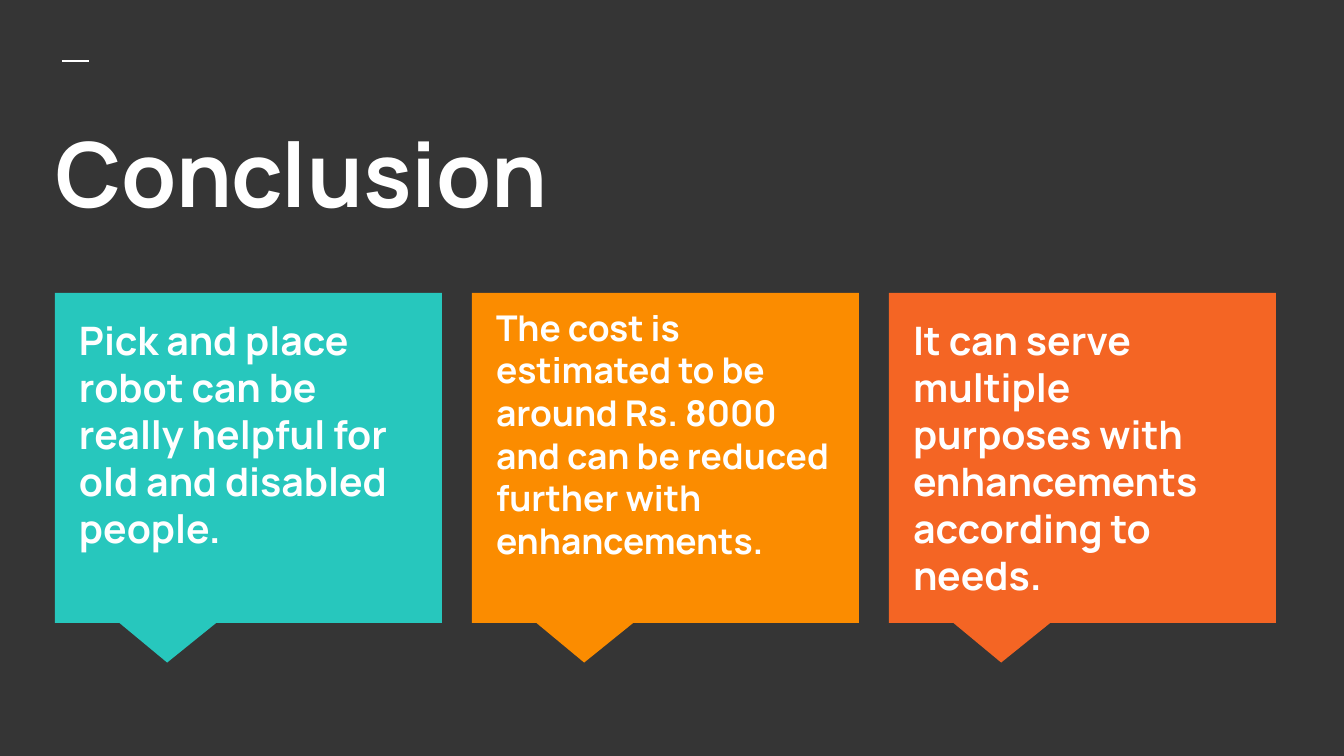
import dataclasses

import pptx
import pptx.dml.color
import pptx.enum.shapes
import pptx.enum.text
import pptx.oxml
import pptx.oxml.ns
import pptx.util

RGBColor = pptx.dml.color.RGBColor
CHARCOAL = RGBColor(0x35, 0x35, 0x35)
WHITE = RGBColor(0xFF, 0xFF, 0xFF)
TEAL = RGBColor(0x27, 0xC7, 0xBD)
AMBER = RGBColor(0xFB, 0x8C, 0x00)
ORANGE = RGBColor(0xF4, 0x65, 0x24)

EMU_PER_PIXEL = 914400 / 134.4
FONT = "Manrope"
INSET = 13

CARD_LEFT, CARD_TOP, CARD_PITCH = 55, 293, 417
CARD_WIDTH, CARD_HEIGHT = 387, 330
POINTER = (-0.21, 0.62)
TEXT_OFFSET, TEXT_WIDTH, TEXT_BOTTOM = 11, 364, 597


@dataclasses.dataclass(frozen=True)
class Card:
    text: str
    fill: RGBColor
    size: int
    text_top: int


CARDS = [
    Card("Pick and place robot can be really helpful for old and disabled people.",
         TEAL, 21, 303),
    Card("The cost is estimated to be around Rs. 8000 and can be reduced "
         "further with enhancements.", AMBER, 19, 293),
    Card("It can serve multiple purposes with enhancements according to needs.",
         ORANGE, 21, 303),
]


def px(pixels: int) -> pptx.util.Emu:
    return pptx.util.Emu(round(pixels * EMU_PER_PIXEL))


def add_text(slide, text: str, box: tuple[int, int, int, int], size: int,
             space_after: int = 0) -> None:
    frame = slide.shapes.add_textbox(*map(px, box)).text_frame
    frame_format = {
        "word_wrap": True,
        "auto_size": pptx.enum.text.MSO_AUTO_SIZE.NONE,
        "vertical_anchor": pptx.enum.text.MSO_ANCHOR.TOP,
        **{f"margin_{side}": px(INSET) for side in ("left", "top", "right", "bottom")},
    }
    for name, value in frame_format.items():
        setattr(frame, name, value)
    paragraph = frame.paragraphs[0]
    paragraph.space_after = pptx.util.Pt(space_after)
    run = paragraph.add_run()
    run.text = text
    font_format = {"name": FONT, "size": pptx.util.Pt(size), "bold": True}
    for name, value in font_format.items():
        setattr(run.font, name, value)
    run.font.color.rgb = WHITE


def add_accent_line(slide, left: int, right: int, y: int) -> None:
    accent = slide.shapes.add_connector(
        pptx.enum.shapes.MSO_CONNECTOR.STRAIGHT, px(left), px(y), px(right), px(y))
    accent.line.color.rgb = WHITE
    accent.line.width = pptx.util.Pt(1.5)
    properties = accent._element.spPr
    properties.append(properties.makeelement(pptx.oxml.ns.qn("a:effectLst"), {}))


def add_card(slide, card: Card, left: int) -> None:
    callout = slide.shapes.add_shape(
        pptx.enum.shapes.MSO_SHAPE.RECTANGULAR_CALLOUT,
        px(left), px(CARD_TOP), px(CARD_WIDTH), px(CARD_HEIGHT))
    for index, value in enumerate(POINTER):
        callout.adjustments[index] = value
    callout.shadow.inherit = False
    callout.fill.solid()
    callout.fill.fore_color.rgb = card.fill
    callout.line.fill.background()
    add_text(slide, card.text,
             (left + TEXT_OFFSET, card.text_top, TEXT_WIDTH, TEXT_BOTTOM - card.text_top),
             card.size, space_after=12)


presentation = pptx.Presentation()
presentation.slide_width, presentation.slide_height = px(1344), px(756)
slide = presentation.slides.add_slide(presentation.slide_layouts[6])
slide.background.fill.solid()
slide.background.fill.fore_color.rgb = CHARCOAL

# Heading
add_accent_line(slide, 62, 89, 61)
add_text(slide, "Conclusion", (42, 105, 1267, 150), 48)

# Three conclusions in a row
for position, card in enumerate(CARDS):
    add_card(slide, card, CARD_LEFT + position * CARD_PITCH)

presentation.save("out.pptx")
